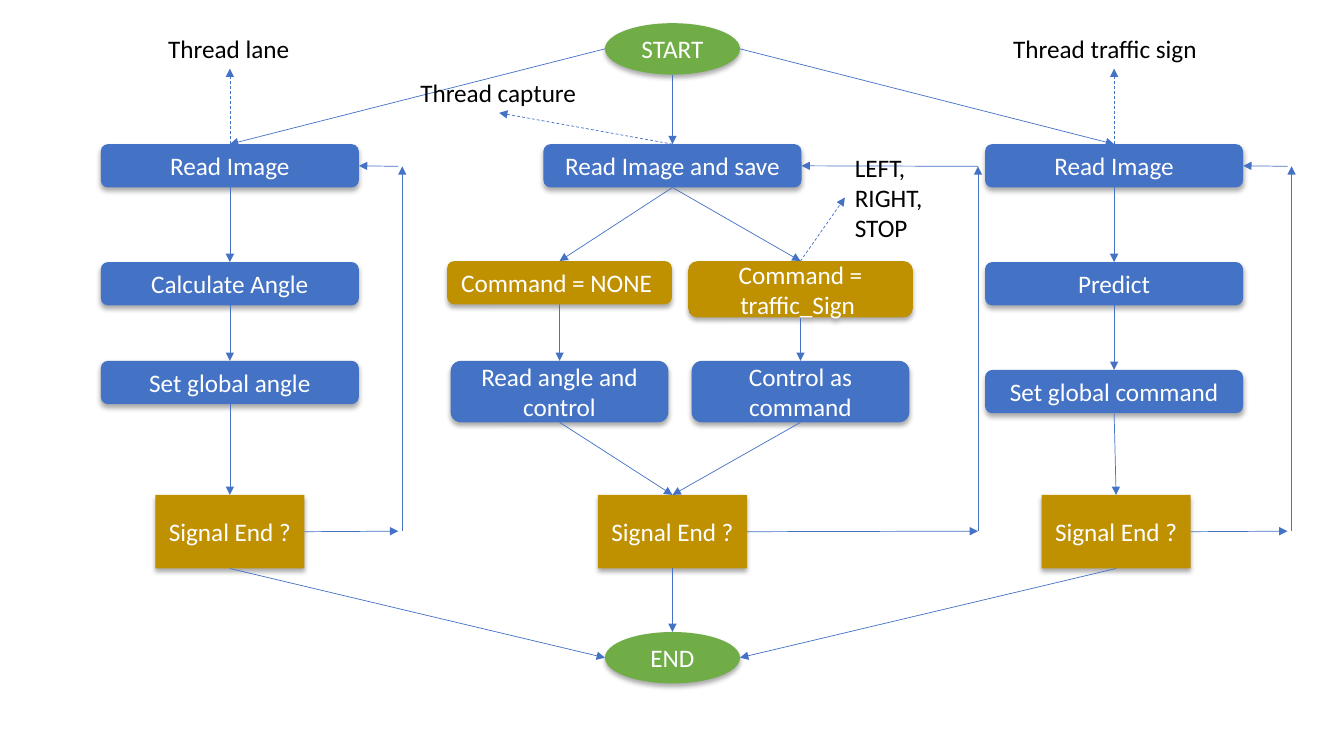
"""Flowchart of three cooperating threads, from START to END."""
from dataclasses import dataclass

from lxml import etree
from pptx import Presentation
from pptx import util as u
from pptx.dml.color import RGBColor
from pptx.enum import dml, shapes, text
from pptx.oxml import ns

TOP, LEFT, BOTTOM, RIGHT = range(4)


@dataclass(frozen=True)
class Theme:
    step: str = "4472C4"
    decision: str = "BF9000"
    terminal: str = "70AD47"
    arrow: str = "4472C4"
    label: str = "FFFFFF"
    note: str = "000000"
    shadow: str = "000000"
    font: str = "Calibri"
    size: float = 18
    line: float = 0.5


class Flowchart:
    def __init__(self, slide, theme):
        self.slide, self.theme = slide, theme

    def set_wording(self, frame, wording, color, align):
        frame.word_wrap = True
        frame.text = wording
        paragraph = frame.paragraphs[0]
        paragraph.alignment = align
        font = paragraph.runs[0].font
        font.name, font.size = self.theme.font, u.Pt(self.theme.size)
        font.color.rgb = RGBColor.from_string(color)

    def node(self, wording, center, top, width, height, color, outline):
        node = self.slide.shapes.add_shape(
            outline, u.Inches(center - width / 2), u.Inches(top), u.Inches(width), u.Inches(height))
        node.fill.solid()
        node.fill.fore_color.rgb = RGBColor.from_string(color)
        node.line.fill.background()
        node.shadow.inherit = False
        effects = node._element.spPr.find(ns.qn("a:effectLst"))
        shadow = etree.SubElement(
            effects, ns.qn("a:outerShdw"), blurRad=str(u.Pt(3.5)), dist=str(u.Pt(2.2)),
            dir="5400000", algn="ctr", rotWithShape="0")
        tint = etree.SubElement(shadow, ns.qn("a:srgbClr"), val=self.theme.shadow)
        etree.SubElement(tint, ns.qn("a:alpha"), val="32000")
        node.text_frame.vertical_anchor = text.MSO_ANCHOR.MIDDLE
        self.set_wording(node.text_frame, wording, self.theme.label, text.PP_ALIGN.CENTER)
        return node

    def step(self, wording, center, top, width=2.56, height=0.43):
        return self.node(wording, center, top, width, height,
                         self.theme.step, shapes.MSO_SHAPE.ROUNDED_RECTANGLE)

    def command(self, wording, center, height):
        return self.node(wording, center, 2.59, 2.23, height,
                         self.theme.decision, shapes.MSO_SHAPE.ROUNDED_RECTANGLE)

    def decision(self, wording, center):
        return self.node(wording, center, 4.91, 1.48, 0.73,
                         self.theme.decision, shapes.MSO_SHAPE.RECTANGLE)

    def terminal(self, wording, center, top):
        return self.node(wording, center, top, 1.34, 0.51,
                         self.theme.terminal, shapes.MSO_SHAPE.OVAL)

    def note(self, wording, left, top, width, height=0.4):
        note = self.slide.shapes.add_textbox(*map(u.Inches, (left, top, width, height)))
        self.set_wording(note.text_frame, wording, self.theme.note, text.PP_ALIGN.LEFT)
        note.text_frame.auto_size = text.MSO_AUTO_SIZE.SHAPE_TO_FIT_TEXT

    def point(self, end):
        place, side = end
        if isinstance(place, (int, float)):
            return u.Inches(place), u.Inches(side)
        x = place.left + {LEFT: 0, RIGHT: place.width}.get(side, place.width // 2)
        y = place.top + {TOP: 0, BOTTOM: place.height}.get(side, place.height // 2)
        return x, y

    def arrow(self, start, finish, dashed=False):
        arrow = self.slide.shapes.add_connector(
            shapes.MSO_CONNECTOR.STRAIGHT, *self.point(start), *self.point(finish))
        for (place, side), glue in ((start, arrow.begin_connect), (finish, arrow.end_connect)):
            if (not isinstance(place, (int, float))
                    and place.auto_shape_type != shapes.MSO_SHAPE.OVAL):
                glue(place, side)
        arrow.line.color.rgb = RGBColor.from_string(self.theme.arrow)
        arrow.line.width = u.Pt(self.theme.line)
        if dashed:
            arrow.line.dash_style = dml.MSO_LINE.DASH
        properties = arrow._element.spPr
        etree.SubElement(properties.find(ns.qn("a:ln")), ns.qn("a:tailEnd"), type="triangle")
        etree.SubElement(properties, ns.qn("a:effectLst"))

    def chain(self, *nodes):
        for upper, lower in zip(nodes, nodes[1:]):
            self.arrow((upper, BOTTOM), (lower, TOP))

    def loop(self, signal, read, reach, rail):
        low, high = 5.27, 1.65
        self.arrow((signal, RIGHT), (reach, low))
        self.arrow((rail, low), (rail, high))
        self.arrow((reach, high), (read, RIGHT))


deck = Presentation()
deck.slide_width, deck.slide_height = u.Inches(13.33), u.Inches(7.5)
chart = Flowchart(deck.slides.add_slide(deck.slide_layouts[6]), Theme())

LANE, CAPTURE, SIGN = 2.28, 6.67, 11.05
NONE_BRANCH, SIGN_BRANCH = 5.55, 7.94

start = chart.terminal("START", CAPTURE, 0.23)
end = chart.terminal("END", CAPTURE, 6.27)

capture_read = chart.step("Read Image and save", CAPTURE, 1.43)
capture_signal = chart.decision("Signal End ?", CAPTURE)
branches = (
    (NONE_BRANCH, "Command = NONE ", 0.43, "Read angle and control"),
    (SIGN_BRANCH, "Command = traffic_Sign ", 0.56, "Control as command"),
)
for center, condition, height, action in branches:
    command = chart.command(condition, center, height)
    control = chart.step(action, center, 3.58, 2.16, 0.61)
    chart.chain(capture_read, command, control, capture_signal)
chart.chain(start, capture_read)
chart.chain(capture_signal, end)
chart.loop(capture_signal, capture_read, 9.7, 9.7)

threads = (
    (LANE, LANE, "Calculate Angle", "Set global angle", 3.58, LEFT, 3.95, 3.99),
    (SIGN, 11.07, "Predict", "Set global command", 3.67, RIGHT, 12.77, 12.81),
)
for center, signal_center, work, result, result_top, side, reach, rail in threads:
    read = chart.step("Read Image", center, 1.43)
    working = chart.step(work, center, 2.6)
    setting = chart.step(result, center, result_top)
    signal = chart.decision("Signal End ?", signal_center)
    chart.chain(read, working, setting, signal)
    chart.arrow((start, side), (read, TOP))
    chart.arrow((signal, BOTTOM), (end, side))
    chart.arrow((read, TOP), (center, 0.68), dashed=True)
    chart.loop(signal, read, reach, rail)

chart.note("Thread lane", 1.57, 0.28, 1.43)
chart.note("Thread traffic sign", 9.95, 0.28, 2.21)
chart.note("Thread capture", 4.07, 0.72, 1.77)
chart.note("LEFT, RIGHT, STOP", 8.38, 1.46, 0.98, 1.01)
chart.arrow((capture_read, TOP), (4.95, 1.12), dashed=True)
chart.arrow((SIGN_BRANCH, 2.59), (8.38, 1.96), dashed=True)

deck.save("out.pptx")
